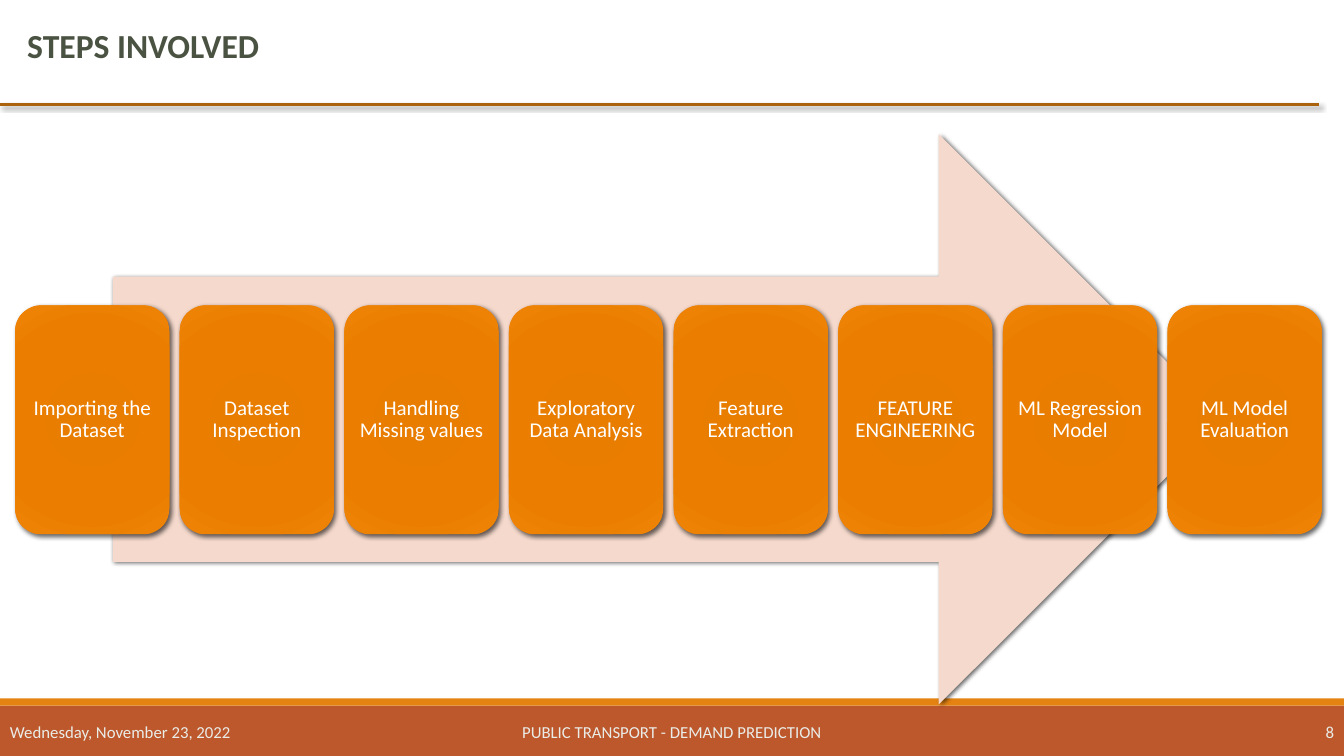
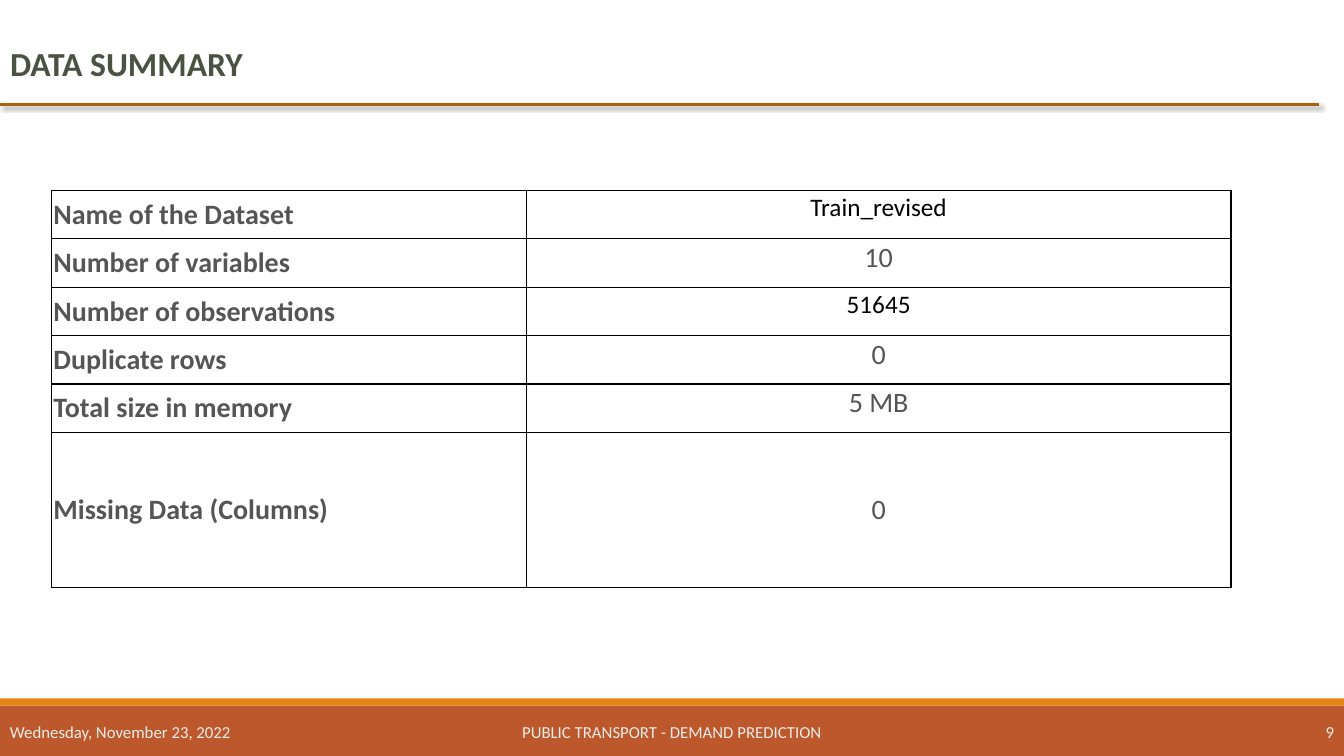
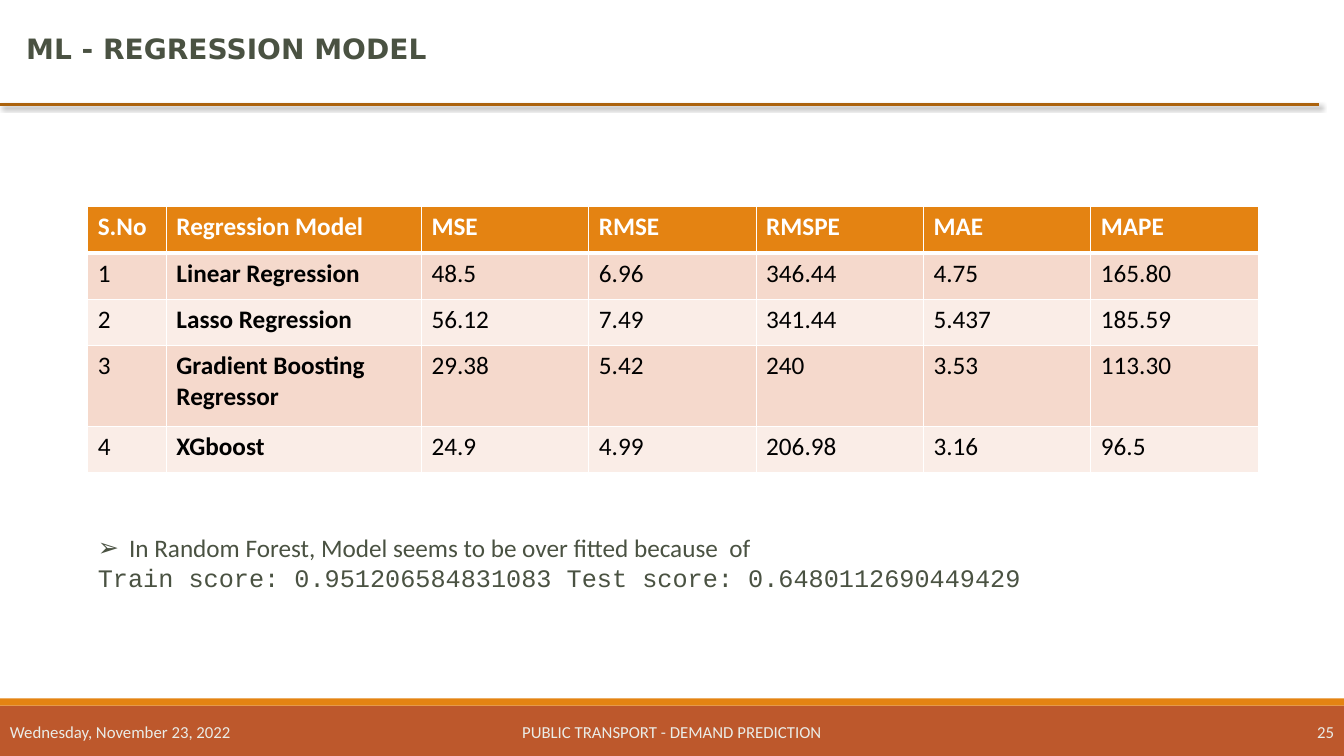
"""Build three slides on public transport demand prediction."""
from lxml import etree
from pptx import Presentation
from pptx.dml.color import RGBColor
from pptx.enum.shapes import MSO_CONNECTOR, MSO_SHAPE
from pptx.enum.text import MSO_ANCHOR, MSO_AUTO_SIZE, PP_ALIGN
from pptx.oxml import parse_xml
from pptx.oxml.ns import nsdecls, qn
from pptx.util import Inches, Pt

LEFT, CENTER, RIGHT = PP_ALIGN.LEFT, PP_ALIGN.CENTER, PP_ALIGN.RIGHT
TOP, MIDDLE = MSO_ANCHOR.TOP, MSO_ANCHOR.MIDDLE
FIXED = MSO_AUTO_SIZE.NONE
RECTANGLE, ROUNDED = MSO_SHAPE.RECTANGLE, MSO_SHAPE.ROUNDED_RECTANGLE
RIGHT_ARROW = MSO_SHAPE.RIGHT_ARROW
STRAIGHT = MSO_CONNECTOR.STRAIGHT

RUST = RGBColor(0xBD, 0x58, 0x2C)
ORANGE = RGBColor(0xE4, 0x83, 0x12)
BROWN = RGBColor(0xAB, 0x62, 0x0D)
OLIVE = RGBColor(0x4A, 0x52, 0x42)
MIST = RGBColor(0xEA, 0xEC, 0xE7)
PEACH = RGBColor(0xF5, 0xD9, 0xCC)
PALE_PEACH = RGBColor(0xFA, 0xED, 0xE7)
GRAY = RGBColor(0x55, 0x55, 0x55)
BLACK = RGBColor(0, 0, 0)
WHITE = RGBColor(0xFF, 0xFF, 0xFF)
CARD_STOPS = (
    (0, RGBColor(0xE5, 0x7B, 0x00)),
    (34, RGBColor(0xE8, 0x7D, 0x00)),
    (70, RGBColor(0xEB, 0x7E, 0x00)),
    (100, RGBColor(0xEF, 0x84, 0x07)),
)

SLIDE_W, SLIDE_H = 13.33, 7.5
BODY_FONT, CODE_FONT, WIDE_FONT = "Calibri", "Courier New", "DejaVu Sans"
BAND_H, STRIPE_H = 0.5, 0.07
BAND_TOP = SLIDE_H - BAND_H
TITLE_ONLY, TITLE_AND_CONTENT = 5, 1

DATE = "Wednesday, November 23, 2022"
TOPIC = "PUBLIC TRANSPORT - DEMAND PREDICTION"

STEPS = [
    "Importing the Dataset", "Dataset Inspection", "Handling Missing values",
    "Exploratory Data Analysis", "Feature Extraction", "FEATURE ENGINEERING",
    "ML Regression Model", "ML Model Evaluation",
]
SUMMARY = [
    ("Name of the Dataset", "Train_revised"),
    ("Number of variables", "10"),
    ("Number of observations", "51645"),
    ("Duplicate rows", "0"),
    ("Total size in memory", "5 MB"),
    ("Missing Data (Columns)", "0"),
]
HIGHLIGHTED = ("Train_revised", "51645")
SCORES = [
    ("S.No", "Regression Model", "MSE", "RMSE", "RMSPE", "MAE", "MAPE"),
    ("1", "Linear Regression", "48.5", "6.96", "346.44", "4.75", "165.80"),
    ("2", "Lasso Regression", "56.12", "7.49", "341.44", "5.437", "185.59"),
    ("3", "Gradient Boosting Regressor", "29.38", "5.42", "240", "3.53", "113.30"),
    ("4", "XGboost", "24.9", "4.99", "206.98", "3.16", "96.5"),
]
OVERFIT_NOTE = "In Random Forest, Model seems to be over fitted because  of"
OVERFIT_SCORES = "Train score: 0.951206584831083 Test score: 0.6480112690449429"


def inches(*lengths):
    return [Inches(length) for length in lengths]


def add_run(paragraph, text, size, color, bold=False, font=BODY_FONT):
    run = paragraph.add_run()
    run.text = text
    run.font.name, run.font.size, run.font.bold = font, Pt(size), bold
    run.font.color.rgb = color


def cast_shadow(shape, blur):
    effects = etree.SubElement(shape.element.spPr, qn("a:effectLst"))
    effects.append(parse_xml(
        f'<a:outerShdw {nsdecls("a")} blurRad="{Pt(blur)}" dist="{Pt(2)}" dir="2700000" '
        'algn="tl" rotWithShape="0"><a:srgbClr val="000000"><a:alpha val="60000"/>'
        '</a:srgbClr></a:outerShdw>'))


def add_block(slide, kind, box, color):
    block = slide.shapes.add_shape(kind, *inches(*box))
    block.fill.solid()
    block.fill.fore_color.rgb = color
    block.line.fill.background()
    return block


def fill_radially(shape):
    shape.fill.gradient()
    stops = "".join(f'<a:gs pos="{share * 1000}"><a:srgbClr val="{color}"/></a:gs>'
                    for share, color in CARD_STOPS)
    properties = shape.element.spPr
    properties.replace(properties.find(qn("a:gradFill")), parse_xml(
        f'<a:gradFill {nsdecls("a")} rotWithShape="1"><a:gsLst>{stops}</a:gsLst>'
        '<a:path path="circle"><a:fillToRect l="100000" t="100000" r="100000" b="100000"/>'
        '</a:path></a:gradFill>'))


def decorate_master(prs, slide):
    """Draw the bands and title rule, then hand them to the slide master."""
    band = add_block(slide, RECTANGLE, (0, BAND_TOP, SLIDE_W, BAND_H), RUST)
    stripe = add_block(slide, RECTANGLE, (0, BAND_TOP - STRIPE_H, SLIDE_W, STRIPE_H), ORANGE)
    for bar in (band, stripe):
        bar.shadow.inherit = False
    rule = slide.shapes.add_connector(STRAIGHT, *inches(0, 1.04, 13.08, 1.04))
    rule.line.color.rgb = BROWN
    rule.line.width = Pt(2)
    cast_shadow(rule, 3)
    for part in (band, stripe, rule):
        prs.slide_master.shapes.element.append(part.element)


def place(shape, box):
    shape.left, shape.top, shape.width, shape.height = inches(*box)


def start_slide(prs, layout, title, box, number, size=24, font=BODY_FONT):
    slide = prs.slides.add_slide(prs.slide_layouts[layout])
    heading = slide.shapes.title
    place(heading, box)
    frame = heading.text_frame
    frame.auto_size, frame.vertical_anchor = FIXED, TOP
    frame.paragraphs[0].alignment = LEFT
    add_run(frame.paragraphs[0], title, size, OLIVE, True, font)
    footers = ((DATE, 0, 2.7, LEFT), (TOPIC, 4.03, 5.27, CENTER),
               (str(number), 11.9, 1.43, RIGHT))
    for text, left, width, alignment in footers:
        frame = slide.shapes.add_textbox(*inches(left, 7.06, width, 0.4)).text_frame
        frame.word_wrap, frame.vertical_anchor = True, MIDDLE
        frame.paragraphs[0].alignment = alignment
        add_run(frame.paragraphs[0], text, 12, MIST)
    return slide


def add_grid(slide, left, top, widths, heights):
    box = inches(left, top, sum(widths), sum(heights))
    grid = slide.shapes.add_table(len(heights), len(widths), *box).table
    grid.first_row = grid.horz_banding = False
    for column, width in zip(grid.columns, widths):
        column.width = Inches(width)
    for row, height in zip(grid.rows, heights):
        row.height = Inches(height)
    return grid


def style_cell(cell, border, fill=None, top=1, bottom=1):
    properties = cell._tc.get_or_add_tcPr()
    for side, width in (("L", 1), ("R", 1), ("T", top), ("B", bottom)):
        properties.append(parse_xml(
            f'<a:ln{side} {nsdecls("a")} w="{Pt(width)}"><a:solidFill>'
            f'<a:srgbClr val="{border}"/></a:solidFill></a:ln{side}>'))
    if fill is None:
        cell.fill.background()
    else:
        cell.fill.solid()
        cell.fill.fore_color.rgb = fill


def add_steps(slide):
    arrow = add_block(slide, RIGHT_ARROW, (1.12, 1.33, 11.02, 5.66), PEACH)
    cast_shadow(arrow, 3)
    left, span, width = 0.15, 12.96, 1.53
    pitch = (span - width) / (len(STEPS) - 1)
    for index, step in enumerate(STEPS):
        card = add_block(slide, ROUNDED, (left + index * pitch, 3.03, width, 2.27), ORANGE)
        fill_radially(card)
        cast_shadow(card, 3.5)
        frame = card.text_frame
        frame.word_wrap, frame.vertical_anchor = True, MIDDLE
        frame.margin_left = frame.margin_right = Inches(0.05)
        paragraph = frame.paragraphs[0]
        paragraph.alignment, paragraph.line_spacing = CENTER, 0.9
        add_run(paragraph, step, 15, WHITE)


def add_summary(slide):
    heights = [0.48] * (len(SUMMARY) - 1) + [1.54]
    grid = add_grid(slide, 0.51, 1.89, (4.71, 6.99), heights)
    for row, (label, value) in enumerate(SUMMARY):
        for column, text in enumerate((label, value)):
            cell = grid.cell(row, column)
            is_label = column == 0
            style_cell(cell, BLACK)
            cell.margin_left = cell.margin_right = Inches(0.02)
            cell.margin_top = cell.margin_bottom = Inches(0.02)
            in_middle = is_label or row == len(SUMMARY) - 1
            cell.vertical_anchor = MIDDLE if in_middle else TOP
            paragraph = cell.text_frame.paragraphs[0]
            paragraph.alignment = LEFT if is_label else CENTER
            size, color = (18, BLACK) if text in HIGHLIGHTED else (20, GRAY)
            add_run(paragraph, text, size, color, is_label)


def add_scores(slide):
    widths = [0.78, 2.53] + [1.66] * 5
    grid = add_grid(slide, 0.87, 2.05, widths, (0.46, 0.46, 0.46, 0.8, 0.46))
    for row, record in enumerate(SCORES):
        is_header = row == 0
        fill = ORANGE if is_header else (PALE_PEACH, PEACH)[row % 2]
        for column, text in enumerate(record):
            cell = grid.cell(row, column)
            style_cell(cell, WHITE, fill, 3 if row == 1 else 1, 3 if is_header else 1)
            add_run(cell.text_frame.paragraphs[0], text, 18,
                    WHITE if is_header else BLACK, is_header or column == 1)


def add_overfit_note(slide):
    body = slide.placeholders[1]
    place(body, (0.87, 5.23, 11.76, 0.71))
    frame = body.text_frame
    frame.auto_size, frame.vertical_anchor = FIXED, TOP
    lines = ((OVERFIT_NOTE, BODY_FONT, 0.31, "➢"), (OVERFIT_SCORES, CODE_FONT, 0, None))
    for index, (text, font, indent, bullet) in enumerate(lines):
        paragraph = frame.add_paragraph() if index else frame.paragraphs[0]
        paragraph.space_before = Pt(0)
        properties = paragraph._p.get_or_add_pPr()
        properties.set("marL", str(Inches(indent)))
        properties.set("indent", str(-Inches(indent)))
        if bullet:
            etree.SubElement(properties, qn("a:buChar")).set("char", bullet)
        else:
            etree.SubElement(properties, qn("a:buNone"))
        add_run(paragraph, text, 18, OLIVE, font=font)


def main():
    prs = Presentation()
    prs.slide_width, prs.slide_height = inches(SLIDE_W, SLIDE_H)
    steps = start_slide(prs, TITLE_ONLY, "STEPS INVOLVED", (0.17, 0.2, 5.91, 0.5), 8)
    decorate_master(prs, steps)
    add_steps(steps)
    summary = start_slide(prs, TITLE_ONLY, "DATA SUMMARY", (0, 0.38, 3.14, 0.5), 9)
    add_summary(summary)
    scores = start_slide(prs, TITLE_AND_CONTENT, "ML - REGRESSION MODEL",
                         (0.16, 0.26, 4.81, 0.44), 25, 20, WIDE_FONT)
    add_scores(scores)
    add_overfit_note(scores)
    prs.save("out.pptx")


if __name__ == "__main__":
    main()
